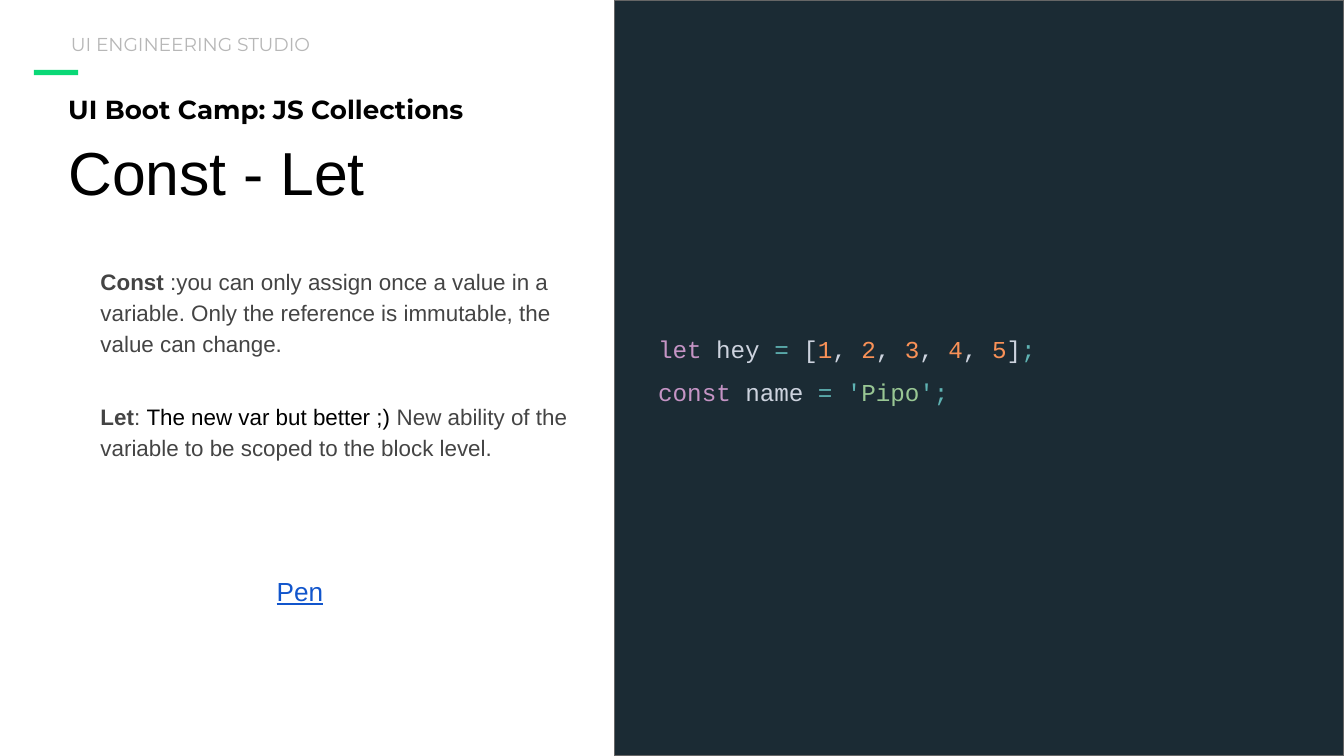
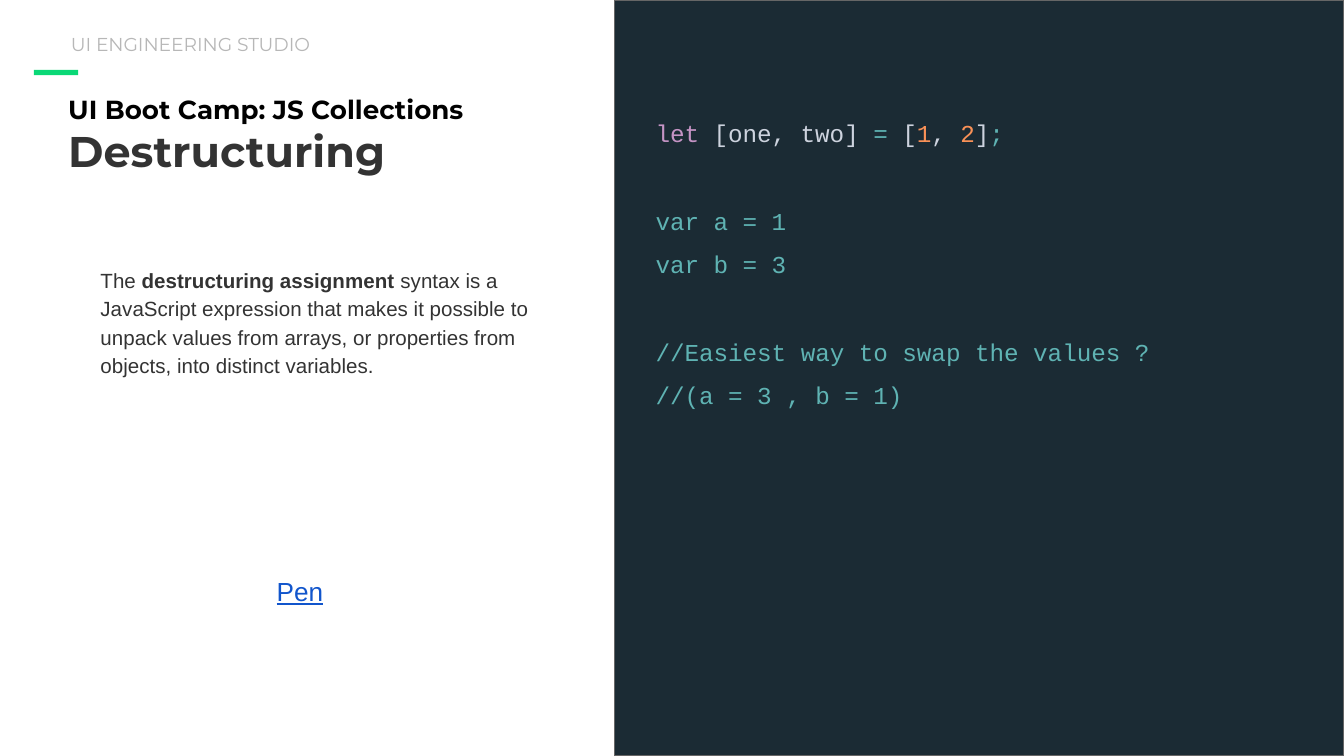
from pptx import Presentation
from pptx.dml.color import RGBColor
from pptx.enum.shapes import MSO_SHAPE as Shape
from pptx.enum.text import MSO_ANCHOR as Anchor
from pptx.util import Cm, Pt

COLORS = {
    "paper": "FFFFFF", "panel": "1B2B34", "border": "666666",
    "accent": "0AD876", "studio": "B7B7B7", "black": "000000",
    "dark": "333333", "gray": "444444", "link": "1155CC",
    "keyword": "C594C5", "plain": "CDD3DE", "operator": "5FB3B3",
    "number": "F99157", "string": "99C794",
}
PAGE_WIDTH, PAGE_HEIGHT = 25.4, 14.29
PANEL_LEFT = 11.61
LEFT_BOX = (0, 0, PANEL_LEFT, PAGE_HEIGHT)
RIGHT_BOX = (PANEL_LEFT, 0, PAGE_WIDTH - PANEL_LEFT, PAGE_HEIGHT)
INSET = 0.25
BLANK_LINE = 23.4  # height of an empty code line, in points


def rgb(name):
    return RGBColor.from_string(COLORS[name])


def inside(box, left, top, width, height):
    """Turn a place within a box into a place on the page."""
    return box[0] + left, box[1] + top, width, height


def add_bar(page, box, color, border=None):
    bar = page.shapes.add_shape(Shape.RECTANGLE, *map(Cm, box))
    bar.shadow.inherit = False
    bar.fill.solid()
    bar.fill.fore_color.rgb = rgb(color)
    if border:
        bar.line.color.rgb = rgb(border)
        bar.line.width = Pt(0.75)
    else:
        bar.line.fill.background()


def add_text(page, box, paragraphs, anchor=Anchor.TOP, bottom=INSET):
    """Each paragraph is a dict: spans of (text, span style) and paragraph style."""
    frame = page.shapes.add_textbox(*map(Cm, box)).text_frame
    frame.word_wrap = True
    frame.vertical_anchor = anchor
    frame.margin_left = frame.margin_right = frame.margin_top = Cm(INSET)
    frame.margin_bottom = Cm(bottom)
    for index, content in enumerate(paragraphs):
        para = frame.paragraphs[0] if index == 0 else frame.add_paragraph()
        para.line_spacing = content.get("spacing", 1.15)
        if content.get("before"):
            para.space_before = Pt(content["before"])
        set_font(para.font, content)
        for text, style in content["spans"]:
            span = para.add_run()
            span.text = text
            set_font(span.font, style)


def set_font(font, style):
    if "font" in style:
        font.name = style["font"]
    if "size" in style:
        font.size = Pt(style["size"])
    if "color" in style:
        font.color.rgb = rgb(style["color"])
    for trait in ("bold", "underline"):
        if trait in style:
            setattr(font, trait, style[trait])


def line(text, font, size, color, **style):
    return dict(spans=[(text, {})], font=font, size=size, color=color, **style)


def add_header(page, box, title):
    # Accent mark, studio name and course heading above the title
    add_bar(page, inside(box, 0.64, 1.32, 0.84, 0.1), "accent")
    add_text(page, inside(box, 1.09, 0.48, 9.6, 0.66),
             [line("UI ENGINEERING STUDIO", "Montserrat", 10, "studio")], Anchor.MIDDLE)
    course = line("UI Boot Camp: JS Collections", "Montserrat", 14, "black", bold=True)
    add_text(page, inside(box, 1.04, 1.42, 11.66, 2.41), [course, title])


def add_explanation(page, box, paragraphs):
    # Body text and the link label below it
    add_text(page, inside(box, 1.65, 4.75, 9.6, 6.76), paragraphs)
    add_text(page, inside(box, 4.98, 10.62, 1.83, 1.27),
             [line("Pen", "Arial", 14, "link", underline=True, spacing=1)])


def add_code(page, box, place, lines, bottom=INSET):
    # Dark panel with coloured code; None stands for an empty line
    add_bar(page, box, "panel", "border")
    paragraphs, before = [], 0
    for tokens in lines:
        if tokens is None:
            before = BLANK_LINE
            continue
        spans = [(text, {"color": kind}) for kind, text in tokens]
        paragraphs.append(dict(spans=spans, font="Courier New", size=13,
                               spacing=1.5, before=before))
        before = 0
    add_text(page, inside(box, *place), paragraphs, Anchor.MIDDLE, bottom)


def number_list(count):
    """Tokens of the array literal 1 to count, with its closing semicolon."""
    tokens = [("plain", " [")]
    for value in range(1, count + 1):
        tokens += [("number", str(value)), ("plain", ", " if value < count else "]")]
    return tokens + [("operator", ";")]


def add_lesson(deck, title, explanation, place, code, bottom=INSET):
    page = deck.slides.add_slide(deck.slide_layouts[6])
    page.background.fill.solid()
    page.background.fill.fore_color.rgb = rgb("paper")
    add_code(page, RIGHT_BOX, place, code, bottom)
    add_header(page, LEFT_BOX, title)
    add_explanation(page, LEFT_BOX, explanation)


def main():
    deck = Presentation()
    deck.slide_width, deck.slide_height = Cm(PAGE_WIDTH), Cm(PAGE_HEIGHT)
    bold = {"bold": True}

    # Const and let
    body = dict(font="Arial", size=12, color="gray")
    const_text = (":you can only assign once a value in a variable. "
                  "Only the reference is immutable, the value can change.")
    add_lesson(
        deck,
        line("Const - Let", "Arial", 32.5, "black"),
        [dict(body, spans=[("Const ", bold), (const_text, {})]),
         dict(body, before=22.6, spans=[
             ("Let", bold), (": ", {}),
             ("The new var but better ;) ", {"color": "black"}),
             ("New ability of the variable to be scoped to the block level.", {})])],
        (0.58, 3.84, 10.54, 6.05),
        [[("keyword", "let "), ("plain", "hey "), ("operator", "="), *number_list(5)],
         [("keyword", "const "), ("plain", "name"), ("operator", " = '"),
          ("string", "Pipo"), ("operator", "';")]])

    # Destructuring
    syntax_text = (" syntax is a JavaScript expression that makes it possible to unpack "
                   "values from arrays, or properties from objects, into distinct variables.")
    add_lesson(
        deck,
        line("Destructuring", "Montserrat", 23, "dark", bold=True, spacing=1),
        [dict(font="Arial", size=11, color="dark", spans=[
            ("The ", {}), ("destructuring assignment", bold), (syntax_text, {})])],
        (0.53, 1.83, 11.99, 6.88),
        [[("keyword", "let "), ("plain", "[one, two] "), ("operator", "="), *number_list(2)],
         None,
         [("operator", "var a = 1")],
         [("operator", "var b = 3")],
         None,
         [("operator", "//Easiest way to swap the values ?")],
         [("operator", "//(a = 3 , b = 1)")]],
        bottom=1.08)

    deck.save("out.pptx")


if __name__ == "__main__":
    main()
